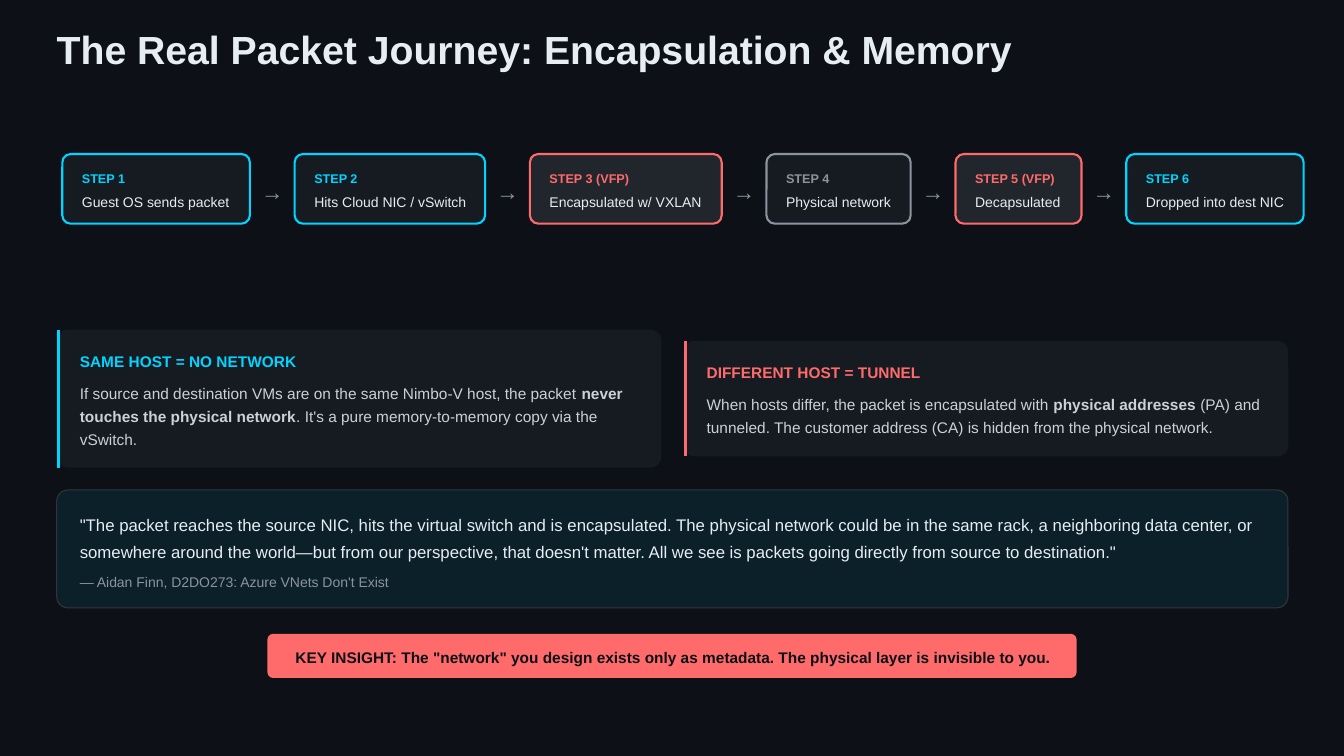
import pptx
import pptx.dml.color
import pptx.enum.shapes
import pptx.enum.text
import pptx.oxml.ns
import pptx.util
from lxml import etree

Pt = pptx.util.Pt
DARK, PANEL, RAISED = "0D1117", "161B22", "21262D"
CYAN, CORAL, GRAY, WHITE, SOFT = "00D4FF", "FF6B6B", "8B949E", "E6EDF3", "C9D1D9"
LEFT, GAP = 40.5, 32
STEPS = [
    ("STEP 1", "Guest OS sends packet", 134, CYAN, PANEL),
    ("STEP 2", "Hits Cloud NIC / vSwitch", 136, CYAN, PANEL),
    ("STEP 3 (VFP)", "Encapsulated w/ VXLAN", 137, CORAL, RAISED),
    ("STEP 4", "Physical network", 103, GRAY, PANEL),
    ("STEP 5 (VFP)", "Decapsulated", 90, CORAL, RAISED),
    ("STEP 6", "Dropped into dest NIC", 126.7, CYAN, PANEL),
]
CARDS = [
    ("SAME HOST = NO NETWORK", CYAN, LEFT, 235.5, 98.5, [
        "If source and destination VMs are on the same Nimbo-V host, the packet ",
        "never touches the physical network",
        ". It's a pure memory-to-memory copy via the vSwitch."]),
    ("DIFFERENT HOST = TUNNEL", CORAL, 488.25, 243.5, 82.5, [
        "When hosts differ, the packet is encapsulated with ",
        "physical addresses",
        " (PA) and tunneled. The customer address (CA) is hidden from the "
        "physical network."]),
]
QUOTE = ('"The packet reaches the source NIC, hits the virtual switch and is '
         'encapsulated. The physical network could be in the same rack, a '
         'neighboring data center, or somewhere around the world—but from our '
         "perspective, that doesn't matter. All we see is packets going "
         'directly from source to destination."')
INSIGHT = ('KEY INSIGHT: The "network" you design exists only as metadata. '
           'The physical layer is invisible to you.')


def tint(code):
    """Turn a hex string into a colour."""
    return pptx.dml.color.RGBColor.from_string(code)


def clear(frame):
    """Give a text frame no margins, wrapped text and a top anchor."""
    frame.margin_left = frame.margin_right = 0
    frame.margin_top = frame.margin_bottom = 0
    frame.word_wrap = True
    frame.auto_size = pptx.enum.text.MSO_AUTO_SIZE.NONE
    frame.vertical_anchor = pptx.enum.text.MSO_ANCHOR.TOP
    return frame


def write(frame, text, size=11, color=WHITE, bold=False, lead=15.4,
          before=0, after=0):
    """Add a paragraph; in a list of texts every second one is bold."""
    para = frame.paragraphs[0]
    if para.runs:
        para = frame.add_paragraph()
    para.alignment = pptx.enum.text.PP_ALIGN.LEFT
    para.line_spacing = Pt(lead)
    para.space_before, para.space_after = Pt(before), Pt(after)
    for i, part in enumerate([text] if isinstance(text, str) else text):
        run = para.add_run()
        run.text = part
        run.font.name, run.font.size = "Arial", Pt(size)
        run.font.bold = bold or i % 2 == 1
        run.font.color.rgb = tint(color)


def box(slide, x, y, w, h):
    """Add a text box and return its frame."""
    return clear(slide.shapes.add_textbox(Pt(x), Pt(y), Pt(w), Pt(h)).text_frame)


def panel(slide, x, y, w, h, curve, fill, edge=None, width=1.5, alpha=None):
    """Add a rounded panel with a corner radius in points."""
    shape = slide.shapes.add_shape(
        pptx.enum.shapes.MSO_SHAPE.ROUNDED_RECTANGLE, Pt(x), Pt(y), Pt(w), Pt(h))
    shape.shadow.inherit = False
    shape.adjustments[0] = curve / min(w, h)
    shape.fill.solid()
    shape.fill.fore_color.rgb = tint(fill)
    if alpha:
        node = shape.fill._xPr.find(".//" + pptx.oxml.ns.qn("a:srgbClr"))
        etree.SubElement(node, pptx.oxml.ns.qn("a:alpha"), val=str(alpha * 1000))
    if edge:
        shape.line.color.rgb, shape.line.width = tint(edge), Pt(width)
    else:
        shape.line.fill.background()


def bar(slide, x, y, h, color):
    """Draw an upright accent line."""
    line = slide.shapes.add_connector(
        pptx.enum.shapes.MSO_CONNECTOR.STRAIGHT, Pt(x), Pt(y), Pt(x), Pt(y + h))
    line.line.color.rgb, line.line.width = tint(color), Pt(2.25)
    etree.SubElement(line._element.spPr, pptx.oxml.ns.qn("a:effectLst"))


def step(slide, x, label, text, w, color, fill):
    """Draw one step of the packet's route."""
    panel(slide, x, 110, w, 49.75, 6, fill, color)
    frame = box(slide, x + 14, 120.5, w - 24, 30)
    write(frame, label, size=9, color=color, bold=True, lead=12.6, after=3)
    write(frame, text, size=10, lead=14)


def card(slide, head, color, x, y, h, parts):
    """Draw a card with an accent line, heading and text."""
    panel(slide, x, y, 432, h, 8, PANEL)
    bar(slide, x + 1.1, y, h, color)
    frame = box(slide, x + 16.5, y + 14, 409, h - 28)
    write(frame, head, color=color, bold=True, after=6)
    write(frame, parts, color=SOFT, lead=16.5)


def main():
    """Build and save the slide."""
    deck = pptx.Presentation()
    deck.slide_width, deck.slide_height = Pt(960), Pt(540)
    slide = deck.slides.add_slide(deck.slide_layouts[5])
    slide.background.fill.solid()
    slide.background.fill.fore_color.rgb = tint(DARK)

    title = slide.shapes.title
    title.left, title.top = Pt(LEFT), Pt(24)
    title.width, title.height = Pt(698), Pt(28)
    write(clear(title.text_frame),
          "The Real Packet Journey: Encapsulation & Memory",
          size=28, bold=True, lead=28)

    x = 44.5
    for i, (label, text, w, color, fill) in enumerate(STEPS):
        if i:
            write(box(slide, x - GAP + 8, 124, 16.5, 22.4), "→",
                  size=16, color=GRAY, lead=22.4)
        step(slide, x, label, text, w, color, fill)
        x += w + GAP

    for item in CARDS:
        card(slide, *item)

    panel(slide, LEFT, 350, 879.5, 84.25, 8, CYAN, "30363D", 0.75, alpha=8)
    frame = box(slide, 57, 363, 862.5, 58.4)
    write(frame, QUOTE, size=12, lead=19.2)
    write(frame, "— Aidan Finn, D2DO273: Azure VNets Don't Exist",
          size=10, color=GRAY, lead=14, before=6)

    panel(slide, 191, 452.75, 578, 31.5, 4, CORAL)
    write(box(slide, 211, 460.75, 549, 15.4), INSIGHT, color=DARK, bold=True)
    deck.save("out.pptx")


if __name__ == "__main__":
    main()
